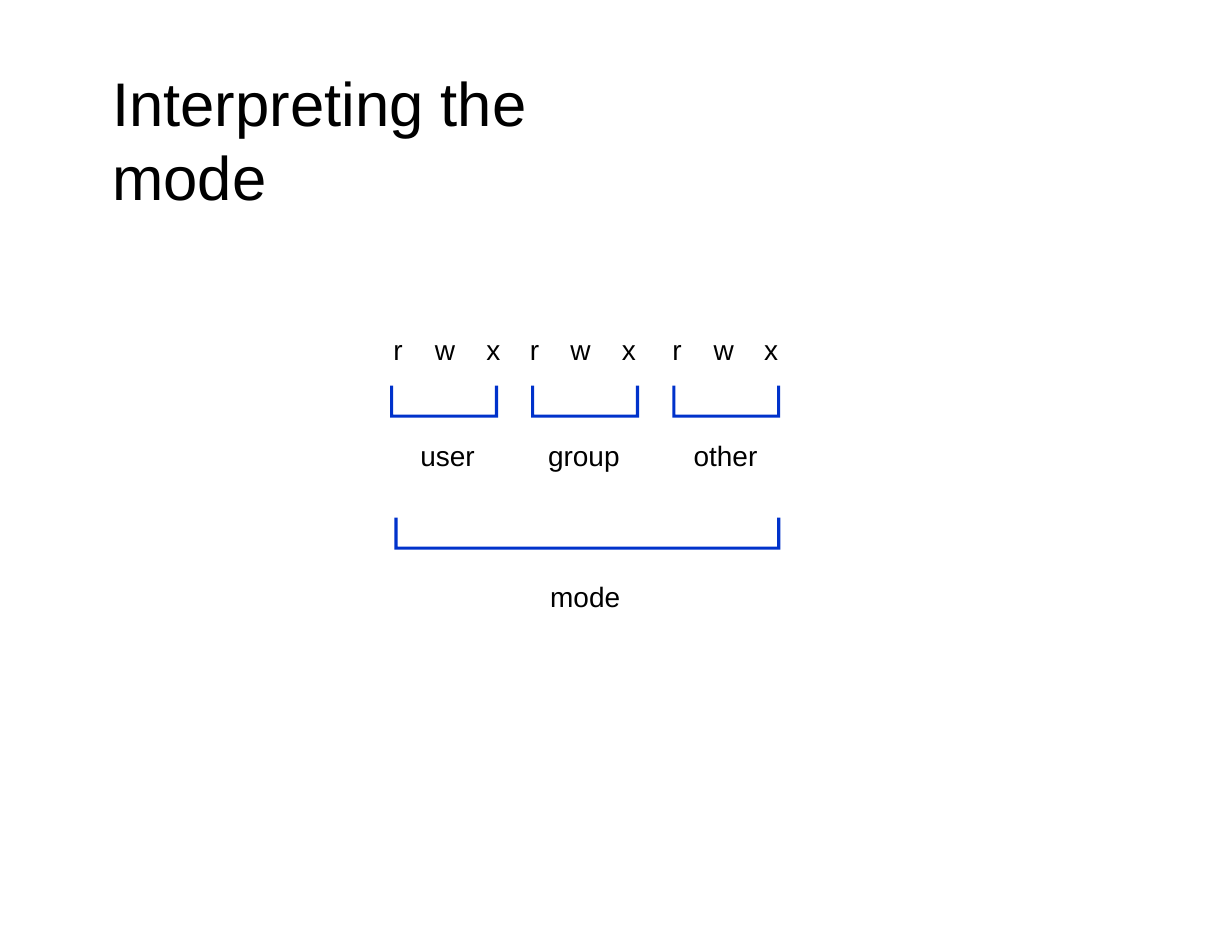
from lxml.etree import SubElement
from pptx import Presentation
from pptx.dml.color import RGBColor
from pptx.enum.text import MSO_ANCHOR, MSO_AUTO_SIZE, PP_ALIGN
from pptx.oxml.ns import qn
from pptx.util import Pt

BLUE = "0032CB"
BLACK = "000000"


def paint(fill, color):
    fill.solid()
    fill.fore_color.rgb = RGBColor.from_string(color)


def write(box, text, size, wrap=True):
    """Fill a box with one left-aligned paragraph and return it."""
    frame = box.text_frame
    frame.word_wrap = wrap
    frame.auto_size = MSO_AUTO_SIZE.SHAPE_TO_FIT_TEXT
    frame.margin_left = frame.margin_right = frame.margin_bottom = 0
    frame.margin_top = Pt(0.9)
    para = frame.paragraphs[0]
    para.alignment = PP_ALIGN.LEFT
    para.space_before = Pt(1)
    para._p.get_or_add_pPr().set("marL", str(Pt(0.9)))
    run = para.add_run()
    run.text = text
    run.font.name = "Arial"
    run.font.size = Pt(size)
    paint(run.font.fill, BLACK)
    return para


deck = Presentation()
deck.slide_width, deck.slide_height = Pt(792), Pt(612)
slide = deck.slides.add_slide(deck.slide_layouts[5])
shapes = slide.shapes

title = shapes.title
title.left, title.top, title.width, title.height = Pt(71.3), Pt(66.2), Pt(314), Pt(45.4)
write(title, "Interpreting the mode", 39.6)
title.text_frame.vertical_anchor = MSO_ANCHOR.MIDDLE

# Brackets: three for the classes, a wide one for the whole mode
tall, thick = 20.6, 2
brackets = [(250.8 + 90.7 * i, 247.9, 69.4) for i in range(3)]
brackets.append((253.6, 332.8, 248))
for left, top, wide in brackets:
    right, base = left + wide, top + tall
    points = [
        (right - thick, top), (right - thick, base - thick),
        (left + thick, base - thick), (left + thick, top),
        (left, top), (left, base), (right, base),
    ]
    pen = shapes.build_freeform(Pt(right), Pt(top))
    pen.add_line_segments([(Pt(x), Pt(y)) for x, y in points], close=True)
    shape = pen.convert_to_shape()
    shape.shadow.inherit = False
    paint(shape.fill, BLUE)
    shape.line.fill.background()

# Permission letters, spaced by tab stops
bits = shapes.add_textbox(Pt(252), Pt(213.1), Pt(248.4), Pt(23.8))
para = write(bits, "\t".join("rwx" * 3), 18)
stops = SubElement(para._p.get_or_add_pPr(), qn("a:tabLst"))
for stop in (26.6, 59.8, 87.8, 113.8, 146.9, 179.3, 205.9, 238.3):
    SubElement(stops, qn("a:tab"), pos=str(Pt(stop)), algn="l")

labels = [
    ("user", 269.3, 280.8, 36.7),
    ("group", 351.4, 280.8, 48.2),
    ("other", 445, 280.8, 43.2),
    ("mode", 352.8, 371.5, 46.8),
]
for text, left, top, wide in labels:
    label = shapes.add_textbox(Pt(left), Pt(top), Pt(wide), Pt(23.8))
    write(label, text, 18, wrap=False)

deck.save("out.pptx")
